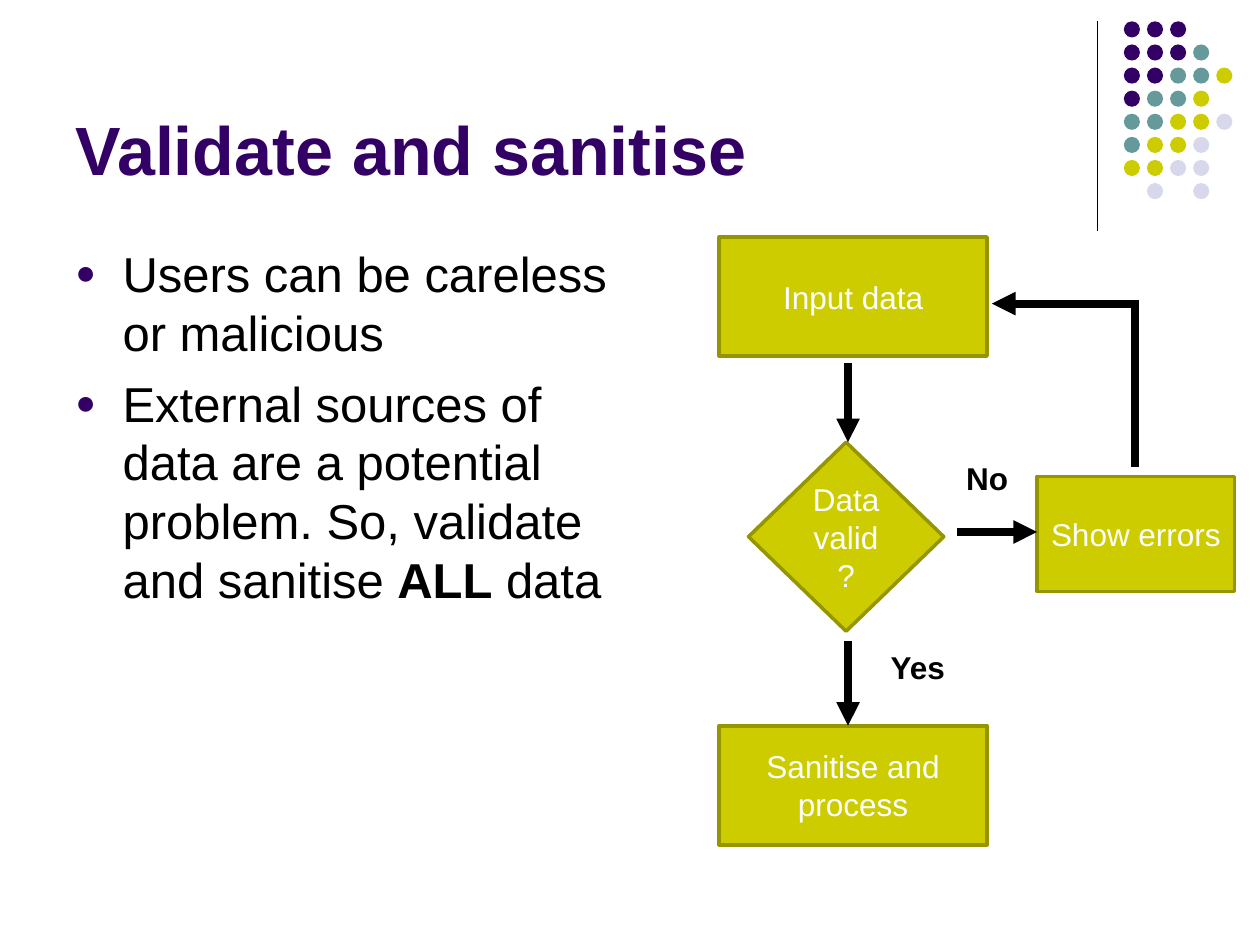
from pptx import Presentation
from pptx.dml.color import RGBColor
from pptx.enum.shapes import MSO_CONNECTOR, MSO_SHAPE
from pptx.enum.text import MSO_ANCHOR, MSO_AUTO_SIZE, PP_ALIGN
from pptx.oxml.ns import qn
from pptx.util import Pt
from lxml.etree import SubElement

PURPLE, TEAL, LIME, LILAC = "330066", "669999", "CCCC00", "D8D8EC"
OLIVE, BLACK, WHITE = "959500", "000000", "FFFFFF"
DOT_COLORS = {"P": PURPLE, "T": TEAL, "L": LIME, "V": LILAC}
DOT_ROWS = ["PPP", "PPPT", "PPTTL", "PTTL", "TTLLV", "TLLV", "LLVV", " V V"]


def color(hex_string):
    return RGBColor.from_string(hex_string)


def add_text(paragraph, text, size=18, fill=BLACK, bold=False):
    run = paragraph.add_run()
    run.text = text
    run.font.name = "Arial"
    run.font.size = Pt(size)
    run.font.bold = bold
    run.font.color.rgb = color(fill)


class SlideBuilder:
    def __init__(self, slide):
        self.slide = slide
        self.border = 2
        self.arrow_width = 4.5

    def dot(self, left, top, fill):
        shape = self.slide.shapes.add_shape(
            MSO_SHAPE.OVAL, Pt(left), Pt(top), Pt(9.2), Pt(9.2))
        shape.shadow.inherit = False
        shape.fill.solid()
        shape.fill.fore_color.rgb = color(fill)
        shape.line.fill.background()

    def node(self, kind, left, top, width, height, text):
        shape = self.slide.shapes.add_shape(
            kind, Pt(left), Pt(top), Pt(width), Pt(height))
        shape.shadow.inherit = False
        shape.fill.solid()
        shape.fill.fore_color.rgb = color(LIME)
        shape.line.color.rgb = color(OLIVE)
        shape.line.width = Pt(self.border)
        frame = shape.text_frame
        frame.word_wrap = True
        frame.vertical_anchor = MSO_ANCHOR.MIDDLE
        frame.paragraphs[0].alignment = PP_ALIGN.CENTER
        add_text(frame.paragraphs[0], text, fill=WHITE)

    def line(self, start, end, width=None, arrow=False):
        connector = self.slide.shapes.add_connector(
            MSO_CONNECTOR.STRAIGHT, *map(Pt, start + end))
        connector.line.color.rgb = color(BLACK)
        connector.line.width = Pt(width or self.arrow_width)
        if arrow:
            SubElement(connector.line._get_or_add_ln(), qn("a:tailEnd"), type="triangle")
        SubElement(connector._element.spPr, qn("a:effectLst"))

    def text_box(self, left, top, width, height, wrap=True, anchor=MSO_ANCHOR.TOP):
        shape = self.slide.shapes.add_textbox(Pt(left), Pt(top), Pt(width), Pt(height))
        frame = shape.text_frame
        frame.word_wrap = wrap
        frame.auto_size = MSO_AUTO_SIZE.NONE if wrap else MSO_AUTO_SIZE.SHAPE_TO_FIT_TEXT
        frame.vertical_anchor = anchor
        return frame

    def title(self, text):
        frame = self.text_box(36, 9.4, 594, 102, anchor=MSO_ANCHOR.BOTTOM)
        add_text(frame.paragraphs[0], text, size=39, fill=PURPLE, bold=True)

    def label(self, left, top, width, text):
        frame = self.text_box(left, top, width, 28.8, wrap=False)
        add_text(frame.paragraphs[0], text, bold=True)

    def bullets(self, items):
        frame = self.text_box(36, 135.4, 318, 347)
        for index, runs in enumerate(items):
            paragraph = frame.add_paragraph() if index else frame.paragraphs[0]
            paragraph.space_before = Pt(7)
            properties = paragraph._p.get_or_add_pPr()
            properties.set("marL", str(Pt(27)))
            properties.set("indent", str(Pt(-27)))
            bullet_color = SubElement(properties, qn("a:buClr"))
            SubElement(bullet_color, qn("a:srgbClr"), val=PURPLE)
            SubElement(properties, qn("a:buSzPct"), val="70000")
            SubElement(properties, qn("a:buFont"), typeface="Arial")
            SubElement(properties, qn("a:buChar"), char="●")
            for text, bold in runs:
                add_text(paragraph, text, size=28, bold=bold)


def main():
    presentation = Presentation()
    presentation.slide_width = Pt(720)
    presentation.slide_height = Pt(540)
    builder = SlideBuilder(presentation.slides.add_slide(presentation.slide_layouts[6]))

    builder.line((627, 12), (627, 132), width=0.75)
    for row, codes in enumerate(DOT_ROWS):
        for column, code in enumerate(codes):
            if code in DOT_COLORS:
                builder.dot(642.2 + column * 13.2, 12.2 + row * 13.2, DOT_COLORS[code])

    builder.title("Validate and sanitise")
    builder.bullets([
        [("Users can be careless or malicious", False)],
        [("External sources of data are a potential problem. So, validate and sanitise ", False),
         ("ALL", True), (" data", False)],
    ])

    process, decision = MSO_SHAPE.FLOWCHART_PROCESS, MSO_SHAPE.FLOWCHART_DECISION
    builder.node(decision, 427.7, 252.7, 111.6, 108, "Data valid?")
    builder.node(process, 411, 414.7, 153, 68, "Sanitise and process")
    builder.node(MSO_SHAPE.RECTANGLE, 592.6, 272.2, 113, 65.8, "Show errors")
    builder.node(process, 411, 135.4, 153, 68, "Input data")

    builder.line((484.6, 207.4), (484.6, 252.7), arrow=True)
    builder.line((484.6, 366.5), (484.6, 414.7), arrow=True)
    builder.line((547, 304), (592.6, 304), arrow=True)
    builder.line((648.7, 267), (648.7, 173.5))
    builder.line((650.6, 173.5), (566.8, 173.5), arrow=True)

    builder.label(545, 258.5, 38.2, "No")
    builder.label(501.8, 366.5, 46, "Yes")

    presentation.save("out.pptx")


if __name__ == "__main__":
    main()
